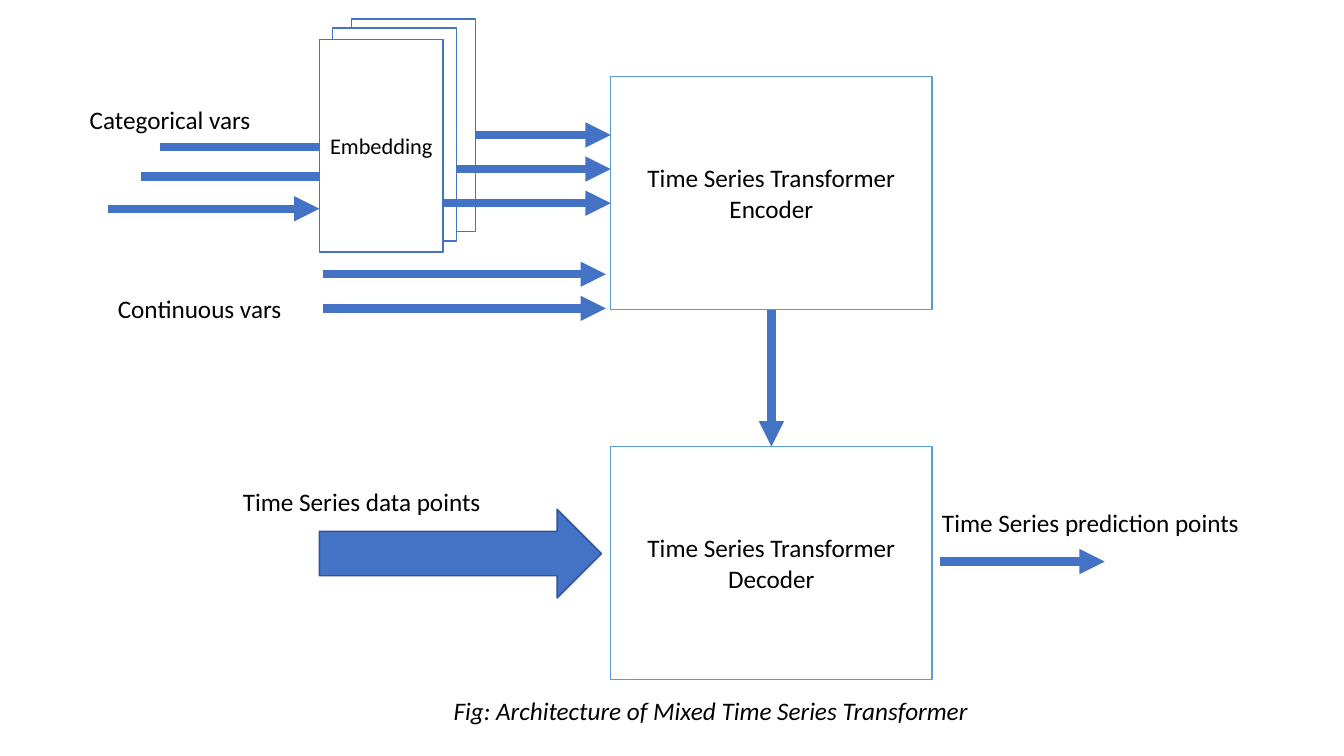
from dataclasses import dataclass

from lxml.etree import SubElement
from pptx import Presentation
from pptx.dml.color import RGBColor as RGB
from pptx.enum.shapes import MSO_CONNECTOR as Connector, MSO_SHAPE as Preset
from pptx.enum.text import MSO_ANCHOR as Anchor, PP_ALIGN as Align
from pptx.oxml.ns import qn
from pptx.util import Cm, Pt


@dataclass(frozen=True)
class Theme:
    font: str = "Calibri"
    text: RGB = RGB(0x00, 0x00, 0x00)
    paper: RGB = RGB(0xFF, 0xFF, 0xFF)
    flow: RGB = RGB(0x44, 0x72, 0xC4)
    flow_edge: RGB = RGB(0x32, 0x54, 0x91)
    model_edge: RGB = RGB(0x5B, 0x9B, 0xD5)
    body_size: int = 18
    card_size: int = 16
    outline: int = 1
    arrow: int = 6


@dataclass(frozen=True)
class Box:
    """A rectangle in centimetres."""
    left: float
    top: float
    width: float
    height: float

    @property
    def right(self):
        return self.left + self.width

    @property
    def bottom(self):
        return self.top + self.height

    @property
    def center(self):
        return self.left + self.width / 2

    @property
    def lengths(self):
        return [Cm(n) for n in (self.left, self.top, self.width, self.height)]


THEME = Theme()


def write(shape, text, size=THEME.body_size, align=Align.LEFT,
          anchor=Anchor.TOP, italic=False):
    frame = shape.text_frame
    frame.word_wrap = True
    frame.vertical_anchor = anchor
    paragraph = frame.paragraphs[0]
    paragraph.alignment = align
    run = paragraph.add_run()
    run.text = text
    run.font.name = THEME.font
    run.font.size = Pt(size)
    run.font.italic = italic
    run.font.color.rgb = THEME.text


def add_label(slide, box, text, **text_format):
    write(slide.shapes.add_textbox(*box.lengths), text, **text_format)


def add_block(slide, box, edge, fill=THEME.paper, preset=Preset.RECTANGLE):
    shape = slide.shapes.add_shape(preset, *box.lengths)
    shape.shadow.inherit = False
    shape.fill.solid()
    shape.fill.fore_color.rgb = fill
    shape.line.color.rgb = edge
    shape.line.width = Pt(THEME.outline)
    return shape


def add_arrow(slide, start_x, start_y, end_x, end_y):
    points = [Cm(n) for n in (start_x, start_y, end_x, end_y)]
    arrow = slide.shapes.add_connector(Connector.STRAIGHT, *points)
    arrow.line.color.rgb = THEME.flow
    arrow.line.width = Pt(THEME.arrow)
    SubElement(arrow.line._get_or_add_ln(), qn("a:tailEnd"), type="triangle")
    SubElement(arrow._element.spPr, qn("a:effectLst"))


def add_model(slide, box, name):
    write(add_block(slide, box, THEME.model_edge), name,
          align=Align.CENTER, anchor=Anchor.MIDDLE)


def add_categorical_path(slide, front, encoder):
    """Lead the categorical arrows through the embedding cards to the encoder."""
    add_label(slide, Box(front.left - 6.04, front.top + 1.52, 5.03, 1.02),
              "Categorical vars")
    for start, end, drop in ((-4.01, 1.3, 2.72), (-4.49, 0.81, 3.46), (-5.33, 0, 4.27)):
        y = front.top + drop
        add_arrow(slide, front.left + start, y, front.left + end, y)

    cards = [Box(front.left + across, front.top - up, front.width, front.height)
             for across, up in ((0.81, 0.51), (0.33, 0.28), (0, 0))]
    for card in cards:
        shape = add_block(slide, card, THEME.flow)
    write(shape, "Embedding", size=THEME.card_size,
          align=Align.CENTER, anchor=Anchor.MIDDLE)
    for row, card in enumerate(cards):
        y = encoder.top + 1.47 + row * 0.86
        add_arrow(slide, card.right, y, encoder.left, y)


def add_continuous_path(slide, encoder):
    add_label(slide, Box(encoder.left - 12.67, encoder.bottom - 0.54, 5.03, 1.02),
              "Continuous vars")
    for rise in (0.89, 0.03):
        y = encoder.bottom - rise
        add_arrow(slide, encoder.left - 7.24, y, encoder.left - 0.12, y)


def add_decoder_flows(slide, decoder):
    """Place the data points on the left and the predictions on the right."""
    data = Box(decoder.left - 7.34, decoder.top + 1.58, 7.11, 2.24)
    add_block(slide, data, THEME.flow_edge, THEME.flow, Preset.RIGHT_ARROW)
    add_label(slide, Box(data.left - 2.18, data.top - 0.69, 6.6, 1.02),
              "Time Series data points")
    y = decoder.top + 2.9
    add_arrow(slide, decoder.right + 0.2, y, decoder.right + 4.35, y)
    add_label(slide, Box(decoder.right, decoder.top + 1.4, 8.31, 1.02),
              "Time Series prediction points")


def build_architecture(slide, area):
    encoder = Box(area.left + 15.39, area.top + 1.93, 8.1, 5.87)
    decoder = Box(encoder.left, area.top + 11.25, encoder.width, encoder.height)
    embedding = Box(area.left + 8.05, area.top + 0.99, 3.12, 5.36)
    add_model(slide, encoder, "Time Series Transformer Encoder")
    add_model(slide, decoder, "Time Series Transformer Decoder")
    add_categorical_path(slide, embedding, encoder)
    add_continuous_path(slide, encoder)
    add_arrow(slide, encoder.center, encoder.bottom, decoder.center, decoder.top)
    add_decoder_flows(slide, decoder)
    add_label(slide, Box(area.left + 11.18, decoder.bottom + 0.28, 18.47, 1.02),
              "Fig: Architecture of Mixed Time Series Transformer", italic=True)


def main():
    presentation = Presentation()
    area = Box(0, 0, 33.87, 19.05)
    presentation.slide_width = Cm(area.width)
    presentation.slide_height = Cm(area.height)
    slide = presentation.slides.add_slide(presentation.slide_layouts[6])
    build_architecture(slide, area)
    presentation.save("out.pptx")


if __name__ == "__main__":
    main()
